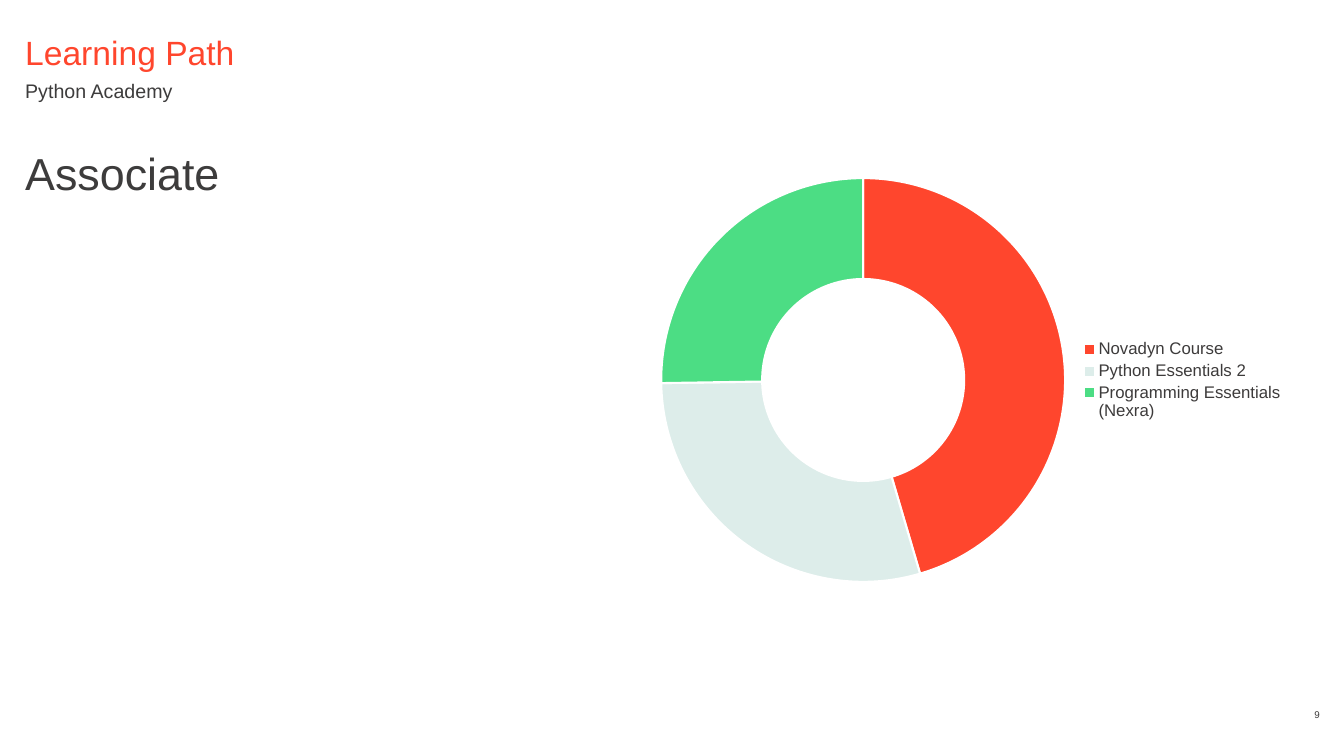
from pptx import Presentation
from pptx.chart.data import CategoryChartData
from pptx.dml.color import RGBColor
from pptx.enum.chart import XL_CHART_TYPE, XL_LEGEND_POSITION
from pptx.enum.text import MSO_ANCHOR, PP_ALIGN
from pptx.util import Pt

DOUGHNUT = XL_CHART_TYPE.DOUGHNUT
LEGEND_RIGHT = XL_LEGEND_POSITION.RIGHT
TOP, BOTTOM = MSO_ANCHOR.TOP, MSO_ANCHOR.BOTTOM
LEFT, RIGHT = PP_ALIGN.LEFT, PP_ALIGN.RIGHT

EMU_PER_PX = 9144
RED = RGBColor(0xFF, 0x46, 0x2D)
MIST = RGBColor(0xDD, 0xED, 0xEA)
GREEN = RGBColor(0x4C, 0xDD, 0x84)
INK = RGBColor(0x3D, 0x3C, 0x3C)
GREY = RGBColor(0x3D, 0x3B, 0x3B)
DARK = RGBColor(0x00, 0x23, 0x13)
WHITE = RGBColor(0xFF, 0xFF, 0xFF)

COURSES = [
    ("Novadyn Course", 45, RED),
    ("Python Essentials 2", 29, MIST),
    ("Programming Essentials (Nexra)", 25, GREEN),
]


def px(*lengths):
    return [n * EMU_PER_PX for n in lengths]


class SlideBuilder:
    """Holds the font and the current slide, and adds elements to it."""

    def __init__(self, slide, font="Arial"):
        self.slide = slide
        self.font = font

    def style(self, font, size, color):
        font.name = self.font
        font.size = Pt(size)
        font.color.rgb = color

    def text(self, text, box, size=14, color=INK, align=LEFT, anchor=TOP, before=0):
        tf = self.slide.shapes.add_textbox(*px(*box)).text_frame
        tf.word_wrap = True
        tf.vertical_anchor = anchor
        tf.margin_left = tf.margin_right = tf.margin_top = tf.margin_bottom = 0
        p = tf.paragraphs[0]
        p.alignment = align
        p.space_before = Pt(before)
        r = p.add_run()
        r.text = text
        self.style(r.font, size, color)

    def doughnut(self, rows, box, hole):
        names, values, colors = zip(*rows)
        data = CategoryChartData()
        data.categories = names
        data.add_series("Series 1", values)
        chart = self.slide.shapes.add_chart(DOUGHNUT, *px(*box), data).chart
        chart.has_title = False
        self.style(chart.font, 10, DARK)
        chart.has_legend = True
        chart.legend.position = LEGEND_RIGHT
        chart.legend.include_in_layout = False
        self.style(chart.legend.font, 12, GREY)
        plot = chart.plots[0]
        plot.vary_by_categories = True
        for hole_size in plot._element.xpath("c:holeSize"):
            hole_size.set("val", str(hole))
        for i, color in enumerate(colors):
            fmt = plot.series[0].points[i].format
            fmt.fill.solid()
            fmt.fill.fore_color.rgb = color
            fmt.line.color.rgb = WHITE
            fmt.line.width = Pt(1.5)


def main():
    prs = Presentation()
    prs.slide_width, prs.slide_height = px(1333, 750)
    s = SlideBuilder(prs.slides.add_slide(prs.slide_layouts[6]))
    s.doughnut(COURSES, (642, 54, 642, 646), hole=75)
    s.text("Associate", (25, 145, 475, 230), size=32, before=10)
    s.text("9", (1281, 691, 28, 24), size=7, color=GREY, align=RIGHT, anchor=BOTTOM)
    s.text("Learning Path", (25, 32, 617, 31), size=24, color=RED)
    s.text("Python Academy", (25, 78, 617, 34))
    prs.save("out.pptx")


if __name__ == "__main__":
    main()
